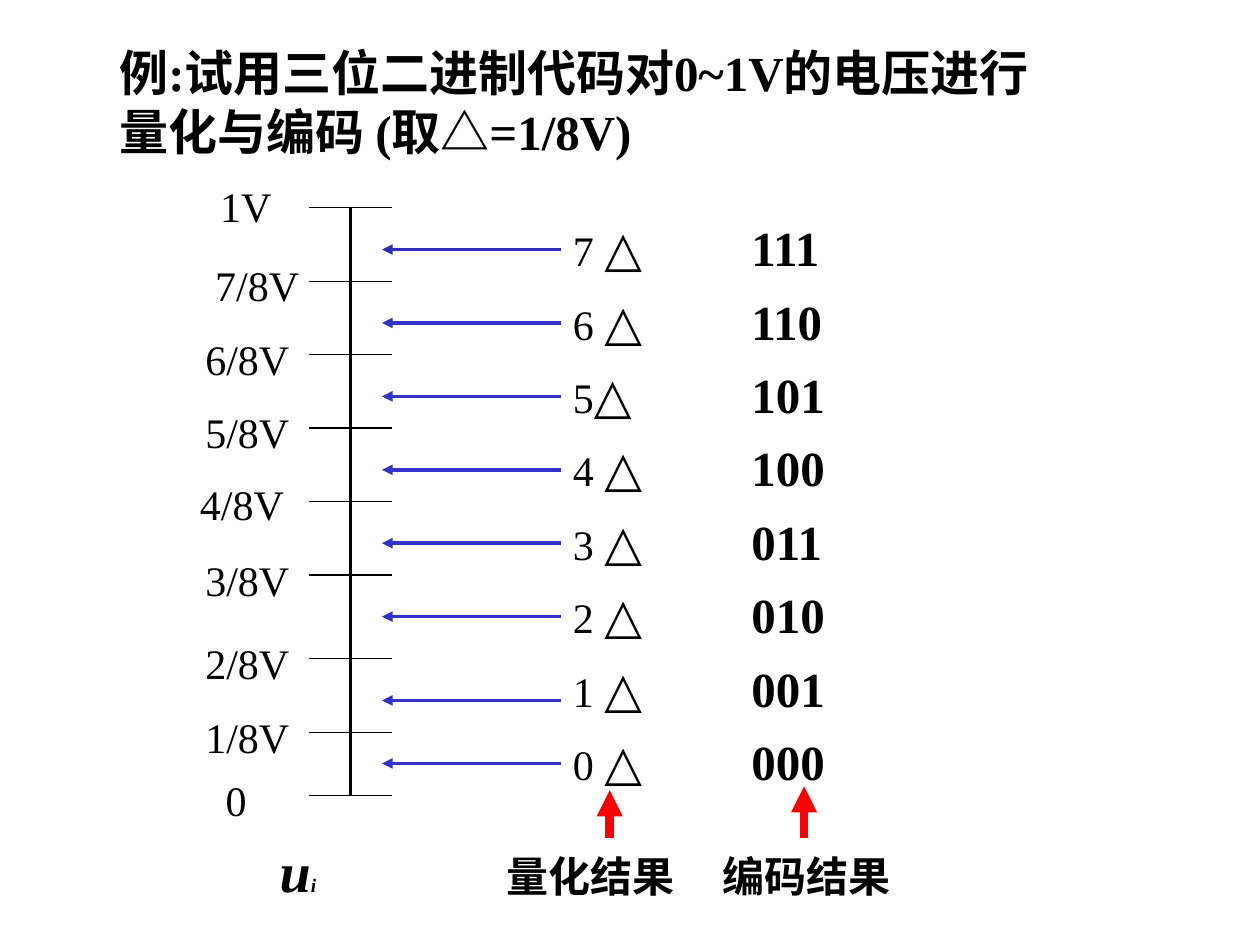
from pptx import Presentation
from pptx.dml.color import RGBColor
from pptx.enum.shapes import MSO_CONNECTOR
from pptx.enum.text import MSO_AUTO_SIZE
from pptx.oxml.ns import qn
from pptx.util import Cm, Pt
from lxml import etree

STRAIGHT = MSO_CONNECTOR.STRAIGHT
FIT = MSO_AUTO_SIZE.SHAPE_TO_FIT_TEXT
FONT = "Times New Roman"
BLACK, BLUE, DARK_BLUE, RED = "000000", "3333CC", "2D2DB9", "FF0000"


def add_text(s, x, y, w, h, runs, tabs=()):
    """Each run is (text, size, bold, italic); tabs are stops in cm."""
    tf = s.shapes.add_textbox(Cm(x), Cm(y), Cm(w), Cm(h)).text_frame
    tf.word_wrap = True
    tf.auto_size = FIT
    tf.margin_top = 0
    p = tf.paragraphs[0]
    if tabs:
        stops = etree.SubElement(p._p.get_or_add_pPr(), qn("a:tabLst"))
        for pos in tabs:
            etree.SubElement(stops, qn("a:tab"), pos=str(Cm(pos)), algn="l")
    for text, size, bold, italic in runs:
        r = p.add_run()
        r.text = text
        r.font.name = FONT
        r.font.size = Pt(size)
        r.font.bold = bold
        r.font.italic = italic
        r.font.color.rgb = RGBColor.from_string(BLACK)


def add_line(s, x1, y1, x2, y2, color=BLACK, width=0.75, arrow=False):
    c = s.shapes.add_connector(STRAIGHT, Cm(x1), Cm(y1), Cm(x2), Cm(y2))
    c.line.color.rgb = RGBColor.from_string(color)
    c.line.width = Pt(width)
    if arrow:
        etree.SubElement(c.line._get_or_add_ln(), qn("a:tailEnd"), type="triangle")
    etree.SubElement(c._element.spPr, qn("a:effectLst"))


prs = Presentation()
prs.slide_width, prs.slide_height = Cm(25.4), Cm(19.05)
s = prs.slides.add_slide(prs.slide_layouts[6])

# Title
add_text(s, 2.16, 0.86, 19.41, 2.51,
         [("例:试用三位二进制代码对0~1V的电压进行量化与编码 (取△=1/8V)", 28, True, False)])

# Voltage axis: tick height, label, label left, label top
ticks = [
    (4.19, "1V", 4.19, 3.63),
    (5.67, "7/8V", 4.09, 5.23),
    (7.15, "6/8V", 3.89, 6.73),
    (8.63, "5/8V", 3.89, 8.2),
    (10.11, "4/8V", 3.78, 9.65),
    (11.59, "3/8V", 3.89, 11.18),
    (13.28, "2/8V", 3.89, 12.85),
    (14.76, "1/8V", 3.89, 14.35),
    (16.03, "0", 4.3, 15.62),
]
add_line(s, 7.06, ticks[0][0], 7.06, ticks[-1][0], width=1.5)
for y, label, left, top in ticks:
    add_line(s, 6.22, y, 7.9, y)
    add_text(s, left, top, 2.6, 1.14, [(label, 24, False, False)])

# One level per interval: arrow, quantised value and code
for i, (y, *_) in enumerate(ticks[:-1]):
    level = 7 - i
    arrow_y = y + (0.63 if level == 0 else 0.84)
    add_line(s, 11.3, arrow_y, 7.7, arrow_y,
             DARK_BLUE if level == 7 else BLUE, 2, arrow=True)
    gap = "" if level == 5 else " "
    add_text(s, 11.3, 4.39 + 1.48 * i, 5.92, 1.32,
             [(f"{level}{gap}", 24, False, False),
              (f"△\t{level:03b}", 28, True, False)], tabs=[3.6])

# Captions and the red arrows above them
add_text(s, 5.39, 16.87, 14.4, 1.5,
         [("u", 32, True, True), ("i", 11, True, True),
          ("\t量化结果\t编码结果", 24, True, False)], tabs=[4.57, 8.93])
for x, tip in [(12.29, 15.93), (16.21, 15.85)]:
    add_line(s, x, 16.9, x, tip, RED, 5, arrow=True)

prs.save("out.pptx")
